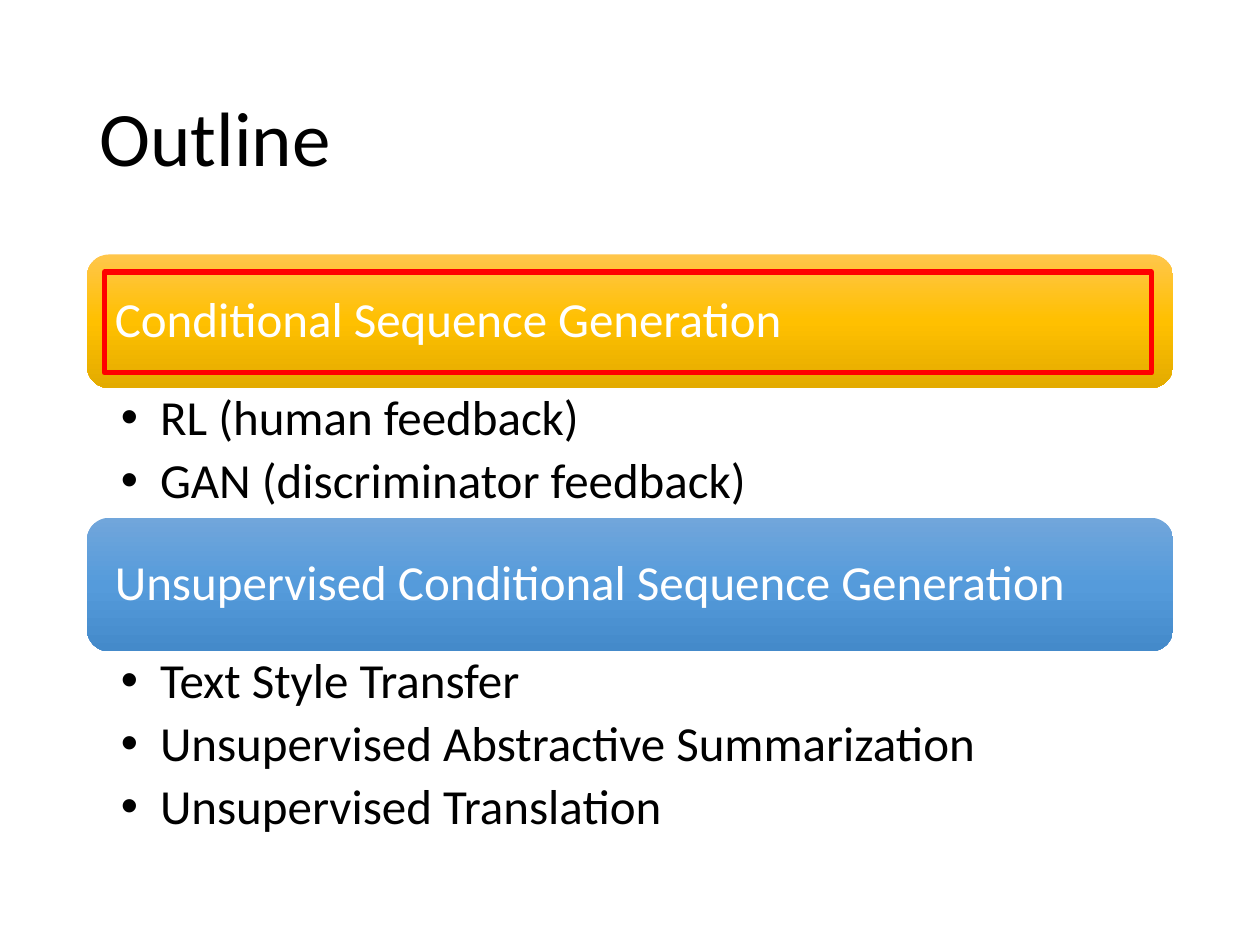
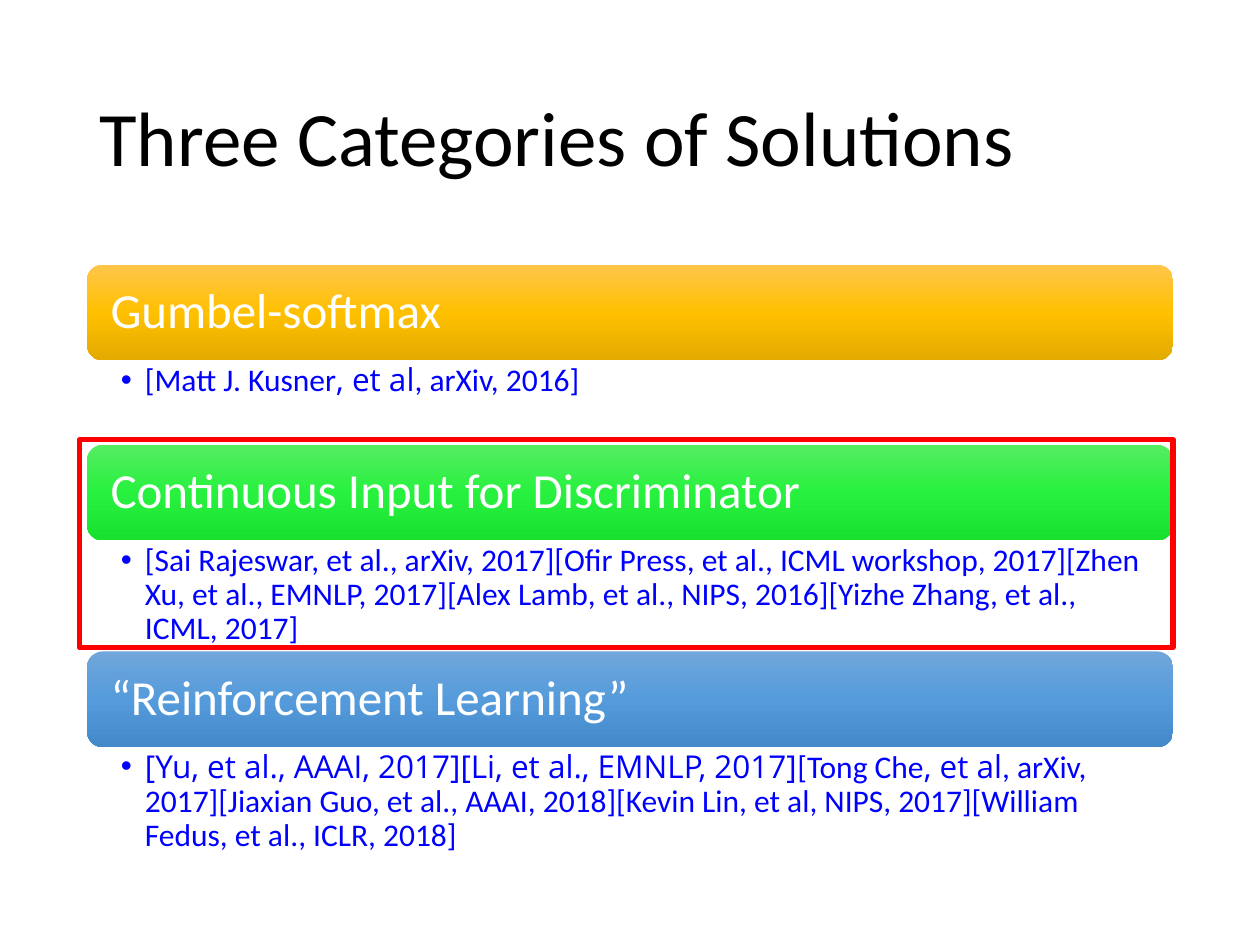
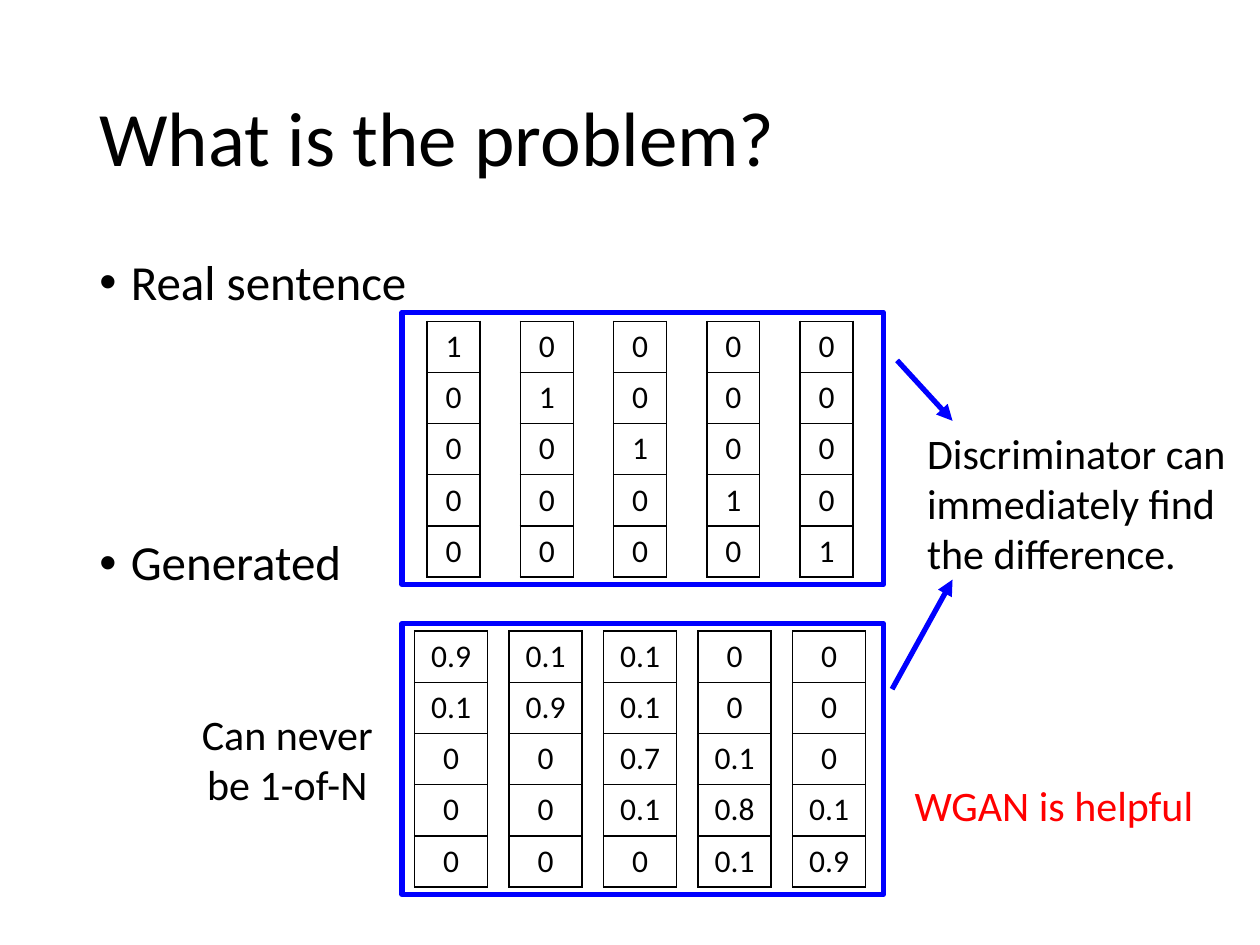
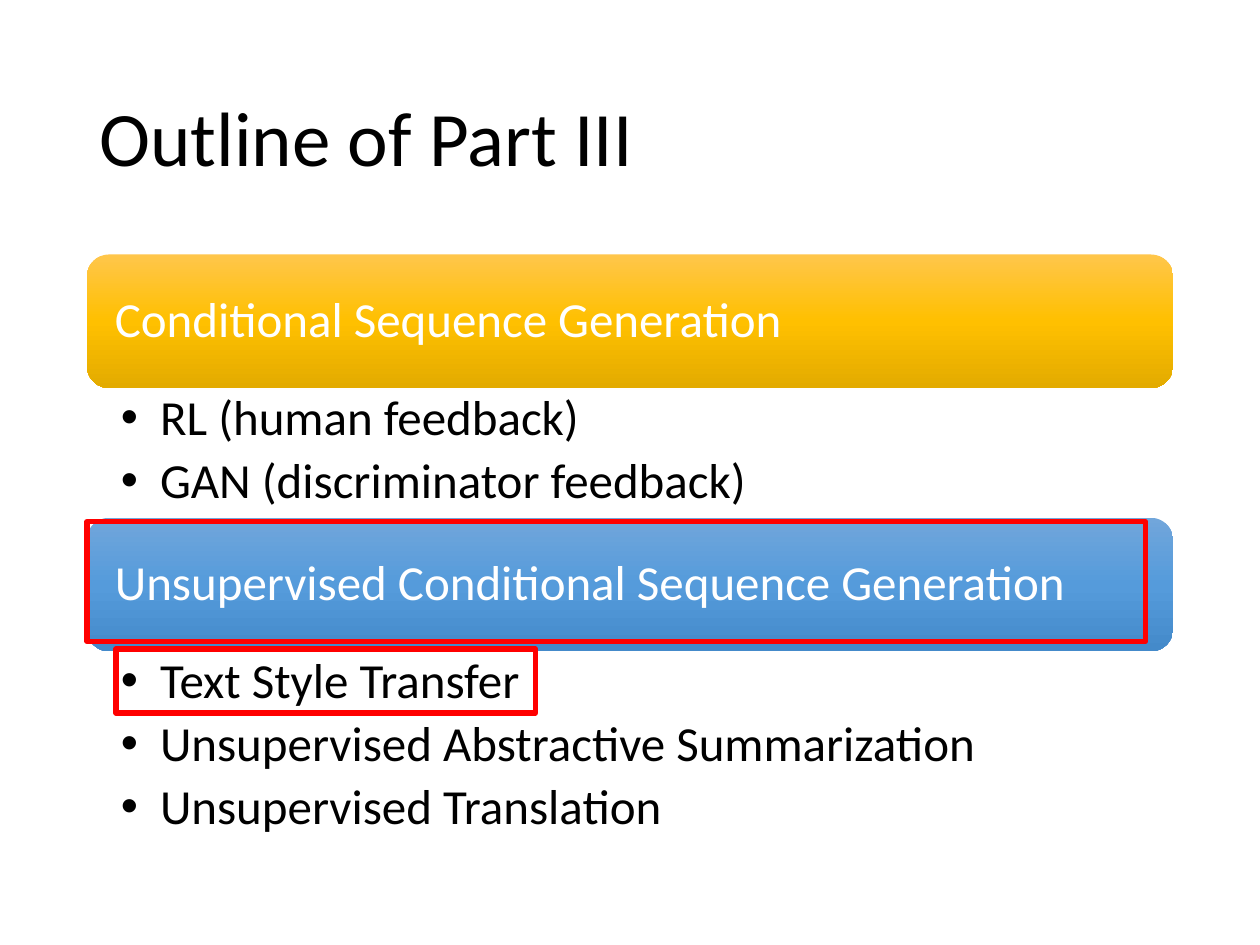
from dataclasses import dataclass
from typing import NamedTuple, Sequence, Union
from copy import deepcopy

from lxml.etree import SubElement
from pptx import Presentation
from pptx.dml.color import RGBColor
from pptx.enum.shapes import MSO_CONNECTOR, MSO_SHAPE
from pptx.enum.text import MSO_ANCHOR, PP_ALIGN
from pptx.oxml.ns import qn
from pptx.util import Inches, Pt

BLACK = RGBColor(0x00, 0x00, 0x00)
WHITE = RGBColor(0xFF, 0xFF, 0xFF)
RED = RGBColor(0xFF, 0x00, 0x00)
BLUE = RGBColor(0x00, 0x00, 0xFF)
GOLD_BAND = (RGBColor(0xFF, 0xC6, 0x4B), RGBColor(0xFF, 0xC0, 0x00), RGBColor(0xE3, 0xAB, 0x00))
GREEN_BAND = (RGBColor(0x56, 0xEC, 0x62), RGBColor(0x27, 0xF1, 0x3E), RGBColor(0x18, 0xE0, 0x2F))
BLUE_BAND = (RGBColor(0x71, 0xA6, 0xDB), RGBColor(0x55, 0x9B, 0xDB), RGBColor(0x44, 0x8A, 0xCA))

FONT = "Calibri"
ALT_FONT = "Open Sans"
LEFT, WIDTH = 0.69, 8.62
DEFAULT_INSETS = (0.1, 0.05, 0.1, 0.05)


class Run(NamedTuple):
    text: str
    font: str = FONT


class Box(NamedTuple):
    left: float
    top: float
    width: float
    height: float

    def emu(self) -> list:
        return [Inches(v) for v in self]


Paragraph = Union[str, Sequence[Run]]


@dataclass
class Section:
    heading: str
    items: Sequence[Paragraph]
    colors: Sequence[RGBColor]
    body_height: float


@dataclass
class BandStyle:
    top: float
    height: float
    inset: float
    body_size: int
    body_color: RGBColor
    body_indent: float
    body_insets: Sequence[float]


@dataclass
class VectorRow:
    """One-column tables set side by side in a frame."""
    frame: Box
    left: float
    top: float
    pitch: float
    width: float
    vectors: Sequence[str]


OUTLINE_STYLE = BandStyle(2.02, 1.06, 0.17, 28, BLACK, 0.31, (0.27, 0.04, 0.22, 0.04))
SOLUTION_STYLE = BandStyle(2.1, 0.76, 0.15, 18, BLUE, 0.19, (0.27, 0.03, 0.14, 0.03))

OUTLINE = [
    Section("Conditional Sequence Generation",
            ["RL (human feedback)", "GAN (discriminator feedback)"], GOLD_BAND, 1.03),
    Section("Unsupervised Conditional Sequence Generation",
            ["Text Style Transfer", "Unsupervised Abstractive Summarization",
             "Unsupervised Translation"], BLUE_BAND, 1.56),
]

SOLUTIONS = [
    Section("Gumbel-softmax",
            [[Run("[Matt J. Kusner"), Run(", et al", ALT_FONT), Run(", arXiv, 2016]")]],
            GOLD_BAND, 0.67),
    Section("Continuous Input for Discriminator",
            ["[Sai Rajeswar, et al., arXiv, 2017][Ofir Press, et al., ICML workshop, 2017]"
             "[Zhen Xu, et al., EMNLP, 2017][Alex Lamb, et al., NIPS, 2016]"
             "[Yizhe Zhang, et al., ICML, 2017]"], GREEN_BAND, 0.88),
    Section("“Reinforcement Learning”",
            [[Run("[Yu, et al., AAAI, 2017][Li, et al., EMNLP, 2017]", ALT_FONT),
              Run("[Tong Che"), Run(", et al", ALT_FONT),
              Run(", arXiv, 2017][Jiaxian Guo, et al., AAAI, 2018]"
                  "[Kevin Lin, et al, NIPS, 2017][William Fedus, et al., ICLR, 2018]")]],
            BLUE_BAND, 0.94),
]

VECTOR_ROWS = [
    VectorRow(Box(3.19, 2.48, 3.82, 2.16), 3.39, 2.55, 0.74, 0.42,
              ["1 0 0 0 0", "0 1 0 0 0", "0 0 1 0 0", "0 0 0 1 0", "0 0 0 0 1"]),
    VectorRow(Box(3.19, 4.95, 3.82, 2.15), 3.29, 5.01, 0.75, 0.58,
              ["0.9 0.1 0 0 0", "0.1 0.9 0 0 0", "0.1 0.1 0.7 0.1 0",
               "0 0 0.1 0.8 0.1", "0 0 0 0.1 0.9"]),
]


def write_text(tf, paragraphs: Sequence[Paragraph], *, size: float = 28,
               color: RGBColor = BLACK, align=PP_ALIGN.LEFT, anchor=MSO_ANCHOR.TOP,
               insets: Sequence[float] = DEFAULT_INSETS, line_spacing: float = 1.0,
               indent: float = 0, gap: float = 0) -> None:
    """Fill a text frame; an indent adds bullets, a gap (points) parts the paragraphs."""
    tf.word_wrap = True
    tf.vertical_anchor = anchor
    tf.margin_left, tf.margin_top, tf.margin_right, tf.margin_bottom = map(Inches, insets)
    for i, content in enumerate(paragraphs):
        p = tf.paragraphs[0] if i == 0 else tf.add_paragraph()
        if indent:
            p_pr = p._p.get_or_add_pPr()
            p_pr.set("marL", str(Inches(indent)))
            p_pr.set("indent", str(-Inches(indent)))
            SubElement(p_pr, qn("a:buFont"), typeface="Arial")
            SubElement(p_pr, qn("a:buChar"), char="•")
        p.alignment = align
        p.line_spacing = line_spacing
        if i:
            p.space_before = Pt(gap)
        for run in [Run(content)] if isinstance(content, str) else content:
            r = p.add_run()
            r.text = run.text
            r.font.name = run.font
            r.font.size = Pt(size)
            r.font.color.rgb = color


def add_text(s, box: Box, paragraphs: Sequence[Paragraph], **text_format) -> None:
    write_text(s.shapes.add_textbox(*box.emu()).text_frame, paragraphs, **text_format)


def add_titled_slide(prs, title: str):
    s = prs.slides.add_slide(prs.slide_layouts[6])
    add_text(s, Box(LEFT, 0.4, WIDTH, 1.45), [title], size=44,
             anchor=MSO_ANCHOR.MIDDLE, line_spacing=0.9)
    return s


def add_frame(s, box: Box, color: RGBColor = RED) -> None:
    sp = s.shapes.add_shape(MSO_SHAPE.RECTANGLE, *box.emu())
    sp.shadow.inherit = False
    sp.fill.background()
    sp.line.color.rgb = color
    sp.line.width = Pt(3)


def add_band(s, box: Box, section: Section, inset: float) -> None:
    sp = s.shapes.add_shape(MSO_SHAPE.ROUNDED_RECTANGLE, *box.emu())
    sp.shadow.inherit = False
    sp.line.fill.background()
    sp.fill.gradient()
    sp.fill.gradient_angle = 270
    stops = sp._element.spPr.find(".//" + qn("a:gsLst"))
    stops.insert(1, deepcopy(stops[0]))
    for stop, color, position in zip(sp.fill.gradient_stops, section.colors, (0, 0.5, 1)):
        stop.color.rgb = color
        stop.position = position
    write_text(sp.text_frame, [section.heading], color=WHITE, anchor=MSO_ANCHOR.MIDDLE,
               insets=(inset,) * 4, line_spacing=0.9)


def add_sections(s, sections: Sequence[Section], style: BandStyle) -> None:
    """Stack each heading band and its bullets, one below the other."""
    top = style.top
    for section in sections:
        add_band(s, Box(LEFT, top, WIDTH, style.height), section, style.inset)
        top += style.height
        add_text(s, Box(LEFT, top, WIDTH, section.body_height), section.items,
                 size=style.body_size, color=style.body_color, insets=style.body_insets,
                 line_spacing=0.9, indent=style.body_indent, gap=style.body_size * 0.2)
        top += section.body_height


def set_borders(cell) -> None:
    tc_pr = cell._tc.get_or_add_tcPr()
    for i, side in enumerate(("a:lnL", "a:lnR", "a:lnT", "a:lnB")):
        ln = tc_pr.makeelement(qn(side), {"w": str(Pt(1))})
        SubElement(SubElement(ln, qn("a:solidFill")), qn("a:srgbClr"), val=str(BLACK))
        tc_pr.insert(i, ln)


def add_vector(s, box: Box, values: Sequence[str]) -> None:
    table = s.shapes.add_table(len(values), 1, *box.emu()).table
    table.first_row = table.horz_banding = False
    for i, value in enumerate(values):
        cell = table.cell(i, 0)
        cell.fill.background()
        set_borders(cell)
        write_text(cell.text_frame, [value], size=18, align=PP_ALIGN.CENTER)


def add_arrow(s, start: Sequence[float], end: Sequence[float]) -> None:
    cxn = s.shapes.add_connector(MSO_CONNECTOR.STRAIGHT, *map(Inches, (*start, *end)))
    cxn.line.color.rgb = BLUE
    cxn.line.width = Pt(3)
    SubElement(cxn.line._get_or_add_ln(), qn("a:tailEnd"), type="triangle")
    SubElement(cxn._element.spPr, qn("a:effectLst"))


def build_outline(prs, title: str, highlights: Sequence[Box]) -> None:
    s = add_titled_slide(prs, title)
    add_sections(s, OUTLINE, OUTLINE_STYLE)
    for box in highlights:
        add_frame(s, box)


def build_solutions(prs) -> None:
    s = add_titled_slide(prs, "Three Categories of Solutions")
    add_sections(s, SOLUTIONS, SOLUTION_STYLE)
    add_frame(s, Box(0.63, 3.49, 8.68, 1.65))


def build_problem(prs) -> None:
    s = add_titled_slide(prs, "What is the problem?")
    add_text(s, Box(LEFT, 2, WIDTH, 4.76), ["Real sentence", "Generated"],
             line_spacing=0.9, indent=0.25, gap=130)
    for row in VECTOR_ROWS:
        for i, vector in enumerate(row.vectors):
            add_vector(s, Box(row.left + i * row.pitch, row.top, row.width, 2.03),
                       vector.split())
        add_frame(s, row.frame, BLUE)
    add_text(s, Box(1.34, 5.57, 1.88, 0.91), ["Can never be 1-of-N"], size=24,
             align=PP_ALIGN.CENTER)
    add_text(s, Box(7.26, 3.34, 2.74, 1.31),
             ["Discriminator can immediately find the difference."], size=24)
    add_text(s, Box(7.16, 6.14, 2.52, 0.5), ["WGAN is helpful"], size=24, color=RED)
    add_arrow(s, (7.12, 2.86), (7.56, 3.34))
    add_arrow(s, (7.08, 5.47), (7.56, 4.6))


def main() -> None:
    prs = Presentation()
    prs.slide_width, prs.slide_height = Inches(10), Inches(7.5)
    build_outline(prs, "Outline", [Box(0.83, 2.16, 8.31, 0.8)])
    build_solutions(prs)
    build_problem(prs)
    build_outline(prs, "Outline of Part III",
                  [Box(0.69, 4.14, 8.4, 0.95), Box(0.92, 5.15, 3.33, 0.51)])
    prs.save("out.pptx")


if __name__ == "__main__":
    main()
